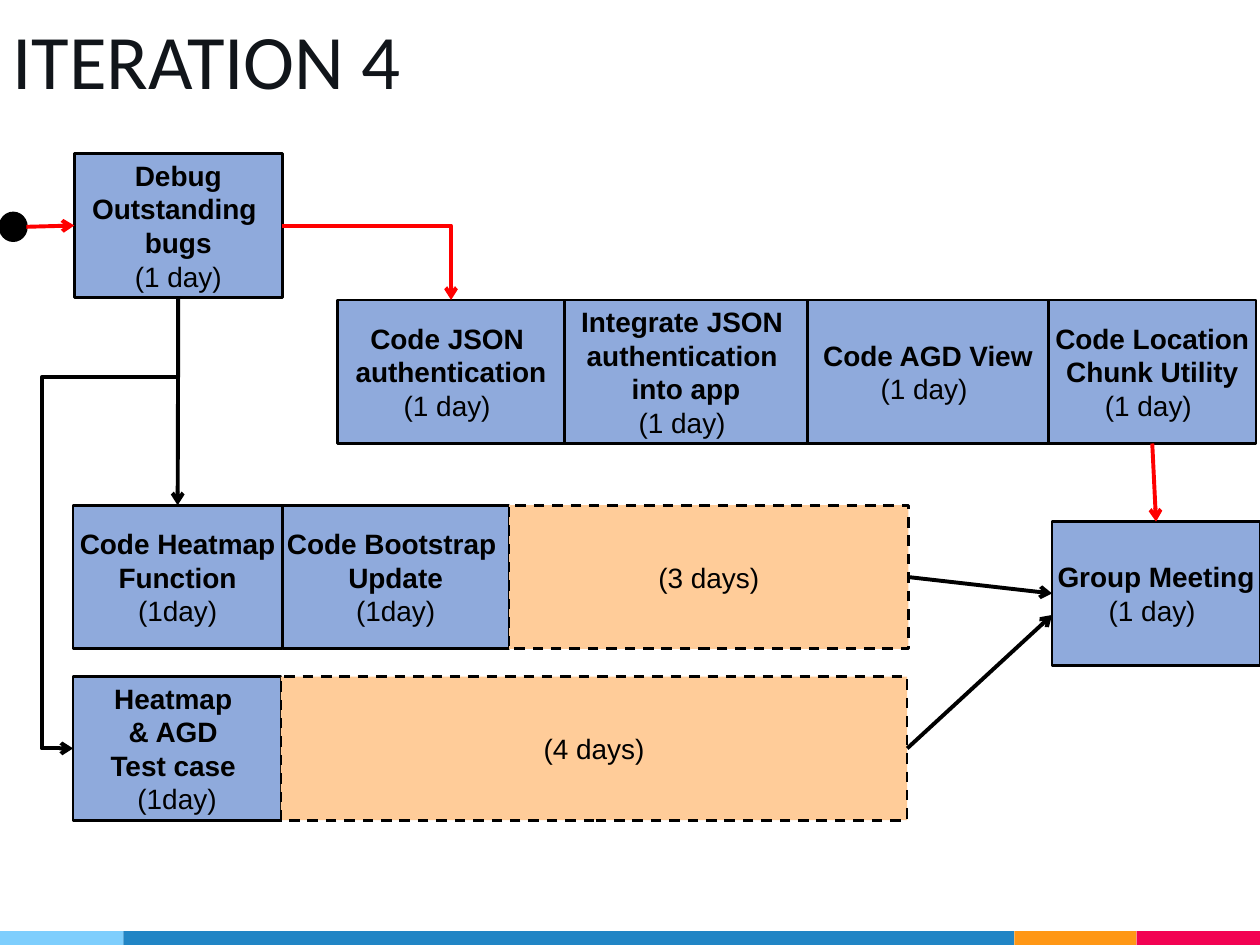
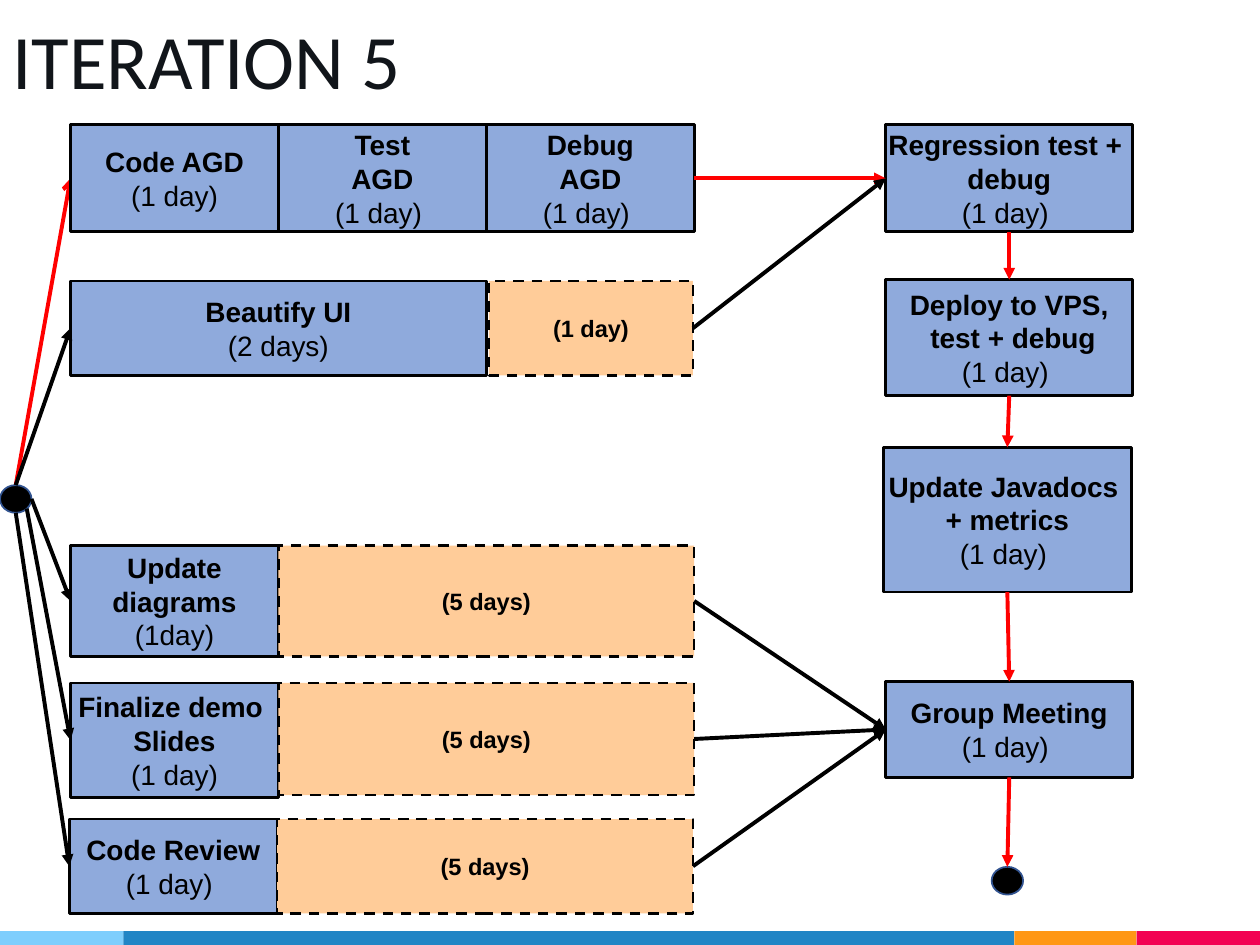
from dataclasses import dataclass

from lxml import etree
from pptx import Presentation
from pptx.dml.color import RGBColor
from pptx.enum.dml import MSO_LINE_DASH_STYLE as Dash
from pptx.enum.shapes import MSO_CONNECTOR as Connector, MSO_SHAPE as Preset
from pptx.enum.text import MSO_ANCHOR as Anchor, PP_ALIGN as Align
from pptx.oxml.ns import qn
from pptx.util import Inches, Pt

# The slide is a grid of square cells
COLUMNS, ROWS = 100, 75
CELL = Inches(0.1)

# Edges of a shape as shares of its width and height
TOP, LEFT, BOTTOM, RIGHT = (0.5, 0), (0, 0.5), (0.5, 1), (1, 0.5)
LOWER_RIGHT = (0.85, 0.85)
SITES = {TOP: 0, LEFT: 1, BOTTOM: 2, RIGHT: 3}


@dataclass(frozen=True)
class Theme:
    task: str = "8FAADC"
    idle: str = "FFCC99"
    ink: str = "000000"
    critical: str = "FF0000"
    dot_outline: str = "325491"
    title: str = "11151A"
    # Colour and width, in columns, of each footer band
    bands: tuple = (("7ECEFD", 9.8), ("2185C5", 70.7), ("FF9715", 9.7), ("F20253", 9.8))
    title_font: str = "Calibri"
    body_font: str = "Arial"
    title_size: float = 44
    body_size: float = 16
    small_size: float = 13.5
    border: float = 1.5
    arrow: float = 2.25


THEME = Theme()


def cells(*counts):
    return [round(count * CELL) for count in counts]


def colour(code):
    return RGBColor.from_string(code)


def set_font(paragraph, name, size, code, bold=False):
    font = paragraph.font
    font.name, font.size, font.bold = name, Pt(size), bold
    font.color.rgb = colour(code)


def add_preset(slide, preset, box, fill, outline=None, width=THEME.border):
    shape = slide.shapes.add_shape(preset, *cells(*box))
    shape.shadow.inherit = False
    shape.fill.solid()
    shape.fill.fore_color.rgb = colour(fill)
    if outline:
        shape.line.color.rgb = colour(outline)
        shape.line.width = Pt(width)
    else:
        shape.line.fill.background()
    return shape


# Shared frame: title and footer bands
def add_frame(presentation, title):
    slide = presentation.slides.add_slide(presentation.slide_layouts[6])
    left, height = 0, 1.1
    for fill, width in THEME.bands:
        add_preset(slide, Preset.RECTANGLE, (left, ROWS - height, width, height), fill)
        left += width

    frame = slide.shapes.add_textbox(*cells(0, 0, 75.5, 9.4)).text_frame
    frame.word_wrap = True
    frame.vertical_anchor = Anchor.BOTTOM
    frame.margin_left = frame.margin_right = CELL
    frame.margin_top = frame.margin_bottom = CELL
    paragraph = frame.paragraphs[0]
    paragraph.text = title
    paragraph.line_spacing = 0.9
    set_font(paragraph, THEME.title_font, THEME.title_size, THEME.title)
    return slide


# Boxes
def add_box(slide, box, lines, fill, size=THEME.body_size, bold_lines=0):
    shape = add_preset(slide, Preset.RECTANGLE, box, fill, THEME.ink)
    frame = shape.text_frame
    frame.word_wrap = False
    frame.vertical_anchor = Anchor.MIDDLE
    frame.margin_left = frame.margin_right = Inches(0.08)
    frame.margin_top = frame.margin_bottom = Inches(0.04)
    for index, line in enumerate(lines):
        paragraph = frame.add_paragraph() if index else frame.paragraphs[0]
        paragraph.text = line
        paragraph.alignment = Align.CENTER
        set_font(paragraph, THEME.body_font, size, THEME.ink, index < bold_lines)
    return shape


def add_task(slide, box, text):
    """A bold task name with its duration on the last line."""
    lines = text.split("\n")
    return add_box(slide, box, lines, THEME.task, bold_lines=len(lines) - 1)


def add_idle(slide, box, text, small=False):
    size = THEME.small_size if small else THEME.body_size
    shape = add_box(slide, box, [text], THEME.idle, size, bold_lines=int(small))
    shape.line.dash_style = Dash.DASH
    return shape


def add_task_row(slide, left, top, height, tasks):
    """Tasks that touch side by side, each given as width and text."""
    shapes = []
    for width, text in tasks:
        shapes.append(add_task(slide, (left, top, width, height), text))
        left += width
    return shapes


# Arrows
def edge_point(shape, edge):
    across, down = edge
    return (round(shape.left + across * shape.width),
            round(shape.top + down * shape.height))


def style_arrow(connector, code, head):
    connector.line.color.rgb = colour(code)
    connector.line.width = Pt(THEME.arrow)
    line = connector.line._get_or_add_ln()
    etree.SubElement(line, qn("a:tailEnd"), type=head)
    etree.SubElement(connector._element.spPr, qn("a:effectLst"))


def add_arrow(slide, start, start_edge, end, end_edge, code=THEME.ink, head="triangle"):
    connector = slide.shapes.add_connector(
        Connector.STRAIGHT, *edge_point(start, start_edge), *edge_point(end, end_edge))
    for shape, edge, attach in ((start, start_edge, connector.begin_connect),
                                (end, end_edge, connector.end_connect)):
        if shape.auto_shape_type == Preset.RECTANGLE and edge in SITES:
            attach(shape, SITES[edge])
    style_arrow(connector, code, head)
    return connector


def add_elbow(slide, start, start_edge, end, end_edge, preset, code, adjustments=()):
    """A bent arrow; one that leaves downwards is turned by 90 degrees."""
    connector = slide.shapes.add_connector(
        Connector.ELBOW, *edge_point(start, start_edge), *edge_point(end, end_edge))
    connector.begin_connect(start, SITES[start_edge])
    connector.end_connect(end, SITES[end_edge])
    geometry = connector._element.spPr.find(qn("a:prstGeom"))
    geometry.set("prst", preset)
    guides = geometry.find(qn("a:avLst"))
    if guides is None:
        guides = etree.SubElement(geometry, qn("a:avLst"))
    for number, share in enumerate(adjustments, 1):
        etree.SubElement(guides, qn("a:gd"), name=f"adj{number}",
                         fmla=f"val {round(share * 100000)}")
    if start_edge == BOTTOM:
        width, height = connector.width, connector.height
        shift = (height - width) // 2
        connector.left, connector.top = connector.left - shift, connector.top + shift
        connector.width, connector.height = height, width
        transform = connector._element.spPr.find(qn("a:xfrm"))
        transform.attrib.pop("flipH", None)
        transform.set("rot", str(90 * 60000))
    style_arrow(connector, code, "arrow")


def send_to_back(shape):
    element = shape._element
    element.getparent().insert(2, element)


# Slides
def build_iteration_4(presentation):
    slide = add_frame(presentation, "ITERATION 4")
    height = 11.4
    start = add_preset(slide, Preset.OVAL, (0, 16.9, 2.1, 2.2), THEME.ink, THEME.ink)
    debug = add_task(slide, (5.9, 12.2, 16.5, height),
                     "Debug\nOutstanding \nbugs\n(1 day)")
    critical_row = add_task_row(slide, 26.8, 23.8, height, (
        (18, "Code JSON \nauthentication\n(1 day) "),
        (19.3, "Integrate JSON \nauthentication \ninto app\n(1 day) "),
        (19.1, "Code AGD View\n(1 day) "),
        (16.5, "Code Location\nChunk Utility\n(1 day) "),
    ))
    heatmap, _ = add_task_row(slide, 5.8, 40.1, height, (
        (16.6, "Code Heatmap\nFunction\n(1day)"),
        (18, "Code Bootstrap \nUpdate\n(1day)"),
    ))
    test_case = add_task(slide, (5.8, 53.7, 16.5, height),
                         "Heatmap \n& AGD \nTest case \n(1day)")
    short_wait = add_idle(slide, (40.4, 40.1, 31.7, height), "(3 days)")
    long_wait = add_idle(slide, (22.3, 53.7, 49.7, height), "(4 days)")
    meeting = add_task(slide, (83.5, 41.4, 16.5, height), "Group Meeting\n(1 day) ")

    # Critical path
    for link in ((start, RIGHT, debug, LEFT), (critical_row[-1], BOTTOM, meeting, TOP)):
        add_arrow(slide, *link, THEME.critical, "arrow")
    add_elbow(slide, debug, RIGHT, critical_row[0], TOP, "bentConnector2", THEME.critical)

    # Other dependencies
    for link in ((debug, BOTTOM, heatmap, TOP),
                 (short_wait, RIGHT, meeting, LEFT),
                 (long_wait, RIGHT, meeting, (0, 0.65))):
        add_arrow(slide, *link, head="arrow")
    add_elbow(slide, debug, BOTTOM, test_case, LEFT, "bentConnector4", THEME.ink,
              (0.177, 1.299))


def build_iteration_5(presentation):
    slide = add_frame(presentation, "ITERATION 5")
    unit = 16.5

    # Development rows
    code, _, debug = add_task_row(slide, 5.6, 9.9, 8.5, (
        (unit, "Code AGD\n(1 day)"),
        (unit, "Test\nAGD\n(1 day) "),
        (unit, "Debug\nAGD\n(1 day) "),
    ))
    beautify = add_task(slide, (5.6, 22.3, 2 * unit, 7.5), "Beautify UI\n(2 days)")
    beautify_wait = add_idle(slide, (38.8, 22.3, 16.2, 7.5), "(1 day)", small=True)

    # Document rows: left, top, task height, waiting height, text
    documents = []
    for left, top, task_height, wait_height, text in (
        (5.6, 43.3, 8.8, 8.8, "Update\ndiagrams\n(1day)"),
        (5.6, 54.2, 9.1, 8.9, "Finalize demo \nSlides\n(1 day)"),
        (5.5, 65, 7.5, 7.5, "Code Review\n(1 day) "),
    ):
        task = add_task(slide, (left, top, unit, task_height), text)
        wait = add_idle(slide, (left + unit, top, 2 * unit, wait_height), "(5 days)",
                        small=True)
        documents.append((task, wait))

    # Closing column
    closing = [add_task(slide, box, text) for box, text in (
        ((70.3, 9.9, 19.6, 8.5), "Regression test + \ndebug\n(1 day) "),
        ((70.3, 22.2, 19.6, 9.2), "Deploy to VPS,\n test + debug\n(1 day) "),
        ((70.1, 35.5, 19.7, 11.5), "Update Javadocs \n+ metrics\n(1 day) "),
        ((70.3, 54.1, 19.6, 7.6), "Group Meeting\n(1 day) "),
    )]
    regression, meeting = closing[0], closing[-1]
    start, finish = [
        add_preset(slide, Preset.OVAL, (left, top, 2.5, 2.2), THEME.ink,
                   THEME.dot_outline, 1)
        for left, top in ((0, 38.5), (78.7, 68.8))
    ]

    # Critical path
    send_to_back(add_arrow(slide, start, TOP, code, LEFT, THEME.critical, "arrow"))
    add_arrow(slide, debug, RIGHT, regression, LEFT, THEME.critical)
    for upper, lower in zip(closing, closing[1:] + [finish]):
        add_arrow(slide, upper, BOTTOM, lower, TOP, THEME.critical)

    # Other dependencies
    add_arrow(slide, beautify_wait, RIGHT, regression, LEFT)
    add_arrow(slide, start, TOP, beautify, LEFT)
    for (task, wait), leaving in zip(documents, (RIGHT, LOWER_RIGHT, BOTTOM)):
        add_arrow(slide, wait, RIGHT, meeting, LEFT)
        add_arrow(slide, start, leaving, task, LEFT)


def main():
    presentation = Presentation()
    presentation.slide_width, presentation.slide_height = cells(COLUMNS, ROWS)
    build_iteration_4(presentation)
    build_iteration_5(presentation)
    presentation.save("out.pptx")


if __name__ == "__main__":
    main()
